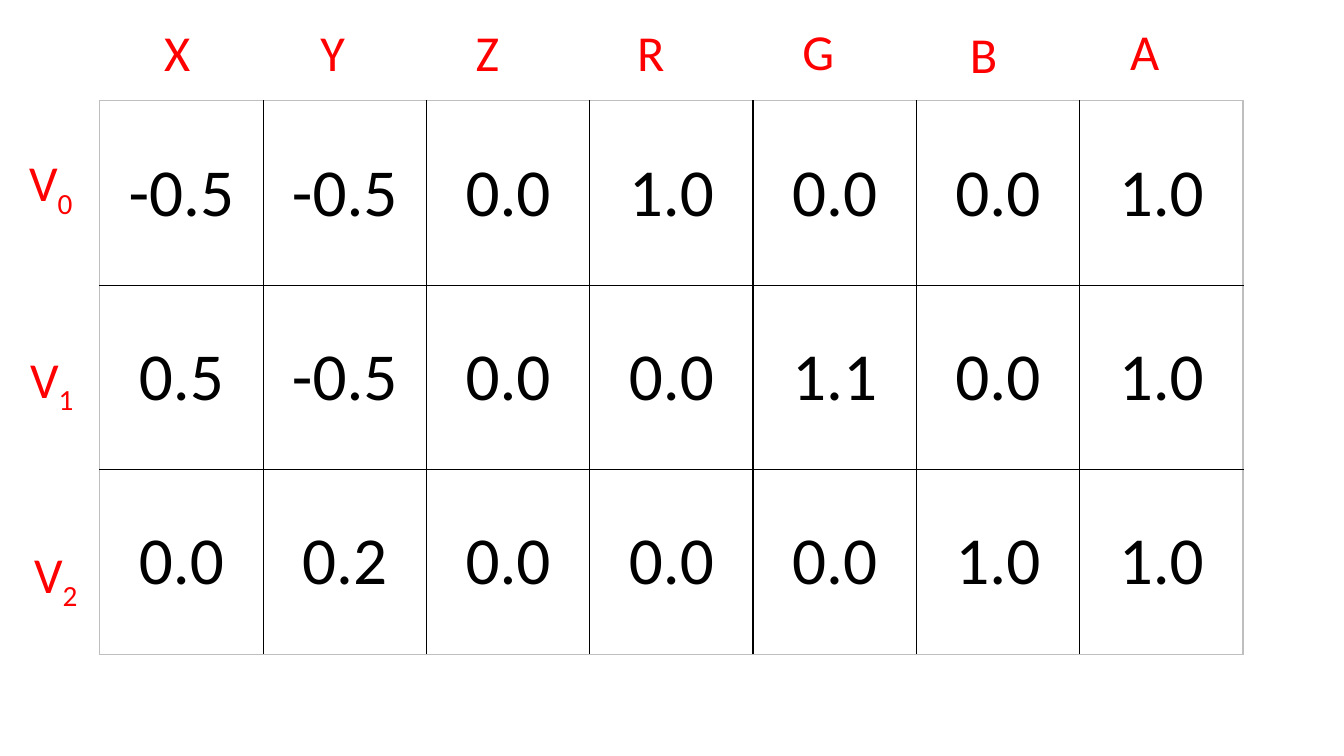
import pptx
import pptx.dml.color
import pptx.enum.text
import pptx.oxml.ns
import pptx.util
from lxml import etree
from pptx.util import Inches

COLORS = {"ink": "000000", "label": "FF0000", "edge": "BFBFBF"}
FONT = "Calibri"
VALUES = [
    ["-0.5", "-0.5", "0.0", "1.0", "0.0", "0.0", "1.0"],
    ["0.5", "-0.5", "0.0", "0.0", "1.1", "0.0", "1.0"],
    ["0.0", "0.2", "0.0", "0.0", "0.0", "1.0", "1.0"],
]
# Label, left, top, width
HEADS = [
    ("X", 1.53, 0.16, 0.46),
    ("Y", 3.08, 0.16, 0.45),
    ("Z", 4.62, 0.16, 0.44),
    ("R", 6.22, 0.16, 0.48),
    ("G", 7.86, 0.15, 0.52),
    ("B", 9.52, 0.18, 0.43),
    ("A", 11.11, 0.15, 0.49),
]
VERTS = [
    ("0", 0.19, 1.45),
    ("1", 0.2, 3.4),
    ("2", 0.24, 5.34),
]


def style(run, size, color):
    run.font.name = FONT
    run.font.size = pptx.util.Pt(size)
    run.font.color.rgb = pptx.dml.color.RGBColor.from_string(COLORS[color])


def add_edge(cell, side, color):
    """Draw one cell border; side is L, R, T or B."""
    qn = pptx.oxml.ns.qn
    props = cell._tc.get_or_add_tcPr()
    line = etree.SubElement(props, qn(f"a:ln{side}"), w=str(pptx.util.Pt(1)))
    fill = etree.SubElement(line, qn("a:solidFill"))
    etree.SubElement(fill, qn("a:srgbClr"), val=COLORS[color])


def fill_cell(cell, text, outer):
    """Write a value and rule the cell, with pale lines on its outer sides."""
    for side in "LRTB":
        add_edge(cell, side, "edge" if side in outer else "ink")
    cell.fill.background()
    cell.vertical_anchor = pptx.enum.text.MSO_ANCHOR.MIDDLE
    cell.text_frame.text = text
    para = cell.text_frame.paragraphs[0]
    para.alignment = pptx.enum.text.PP_ALIGN.CENTER
    style(para.runs[0], 48, "ink")


def add_grid(slide):
    rows, cols = len(VALUES), len(VALUES[0])
    table = slide.shapes.add_table(
        rows, cols, Inches(0.99), Inches(1), Inches(11.34), Inches(5.49)
    ).table
    table.first_row = False
    table.horz_banding = False
    for r, line in enumerate(VALUES):
        for c, text in enumerate(line):
            ends = {"L": c == 0, "R": c == cols - 1, "T": r == 0, "B": r == rows - 1}
            outer = [side for side, is_end in ends.items() if is_end]
            fill_cell(table.cell(r, c), text, outer)


def add_label(group, text, left, top, width, sub=""):
    """Add a red label with an optional subscript."""
    box = group.shapes.add_textbox(
        Inches(left), Inches(top), Inches(width), Inches(0.71)
    )
    frame = box.text_frame
    frame.word_wrap = False
    frame.auto_size = pptx.enum.text.MSO_AUTO_SIZE.SHAPE_TO_FIT_TEXT
    frame.text = text
    para = frame.paragraphs[0]
    if sub:
        run = para.add_run()
        run.text = sub
        run.font._element.set("baseline", "-25000")
    for run in para.runs:
        style(run, 36, "label")


def main():
    deck = pptx.Presentation()
    deck.slide_width = Inches(13.33)
    deck.slide_height = Inches(7.5)
    slide = deck.slides.add_slide(deck.slide_layouts[6])
    add_grid(slide)
    verts = slide.shapes.add_group_shape()
    for sub, left, top in VERTS:
        add_label(verts, "V", left, top, 0.66, sub)
    heads = slide.shapes.add_group_shape()
    for text, left, top, width in HEADS:
        add_label(heads, text, left, top, width)
    deck.save("out.pptx")


if __name__ == "__main__":
    main()
